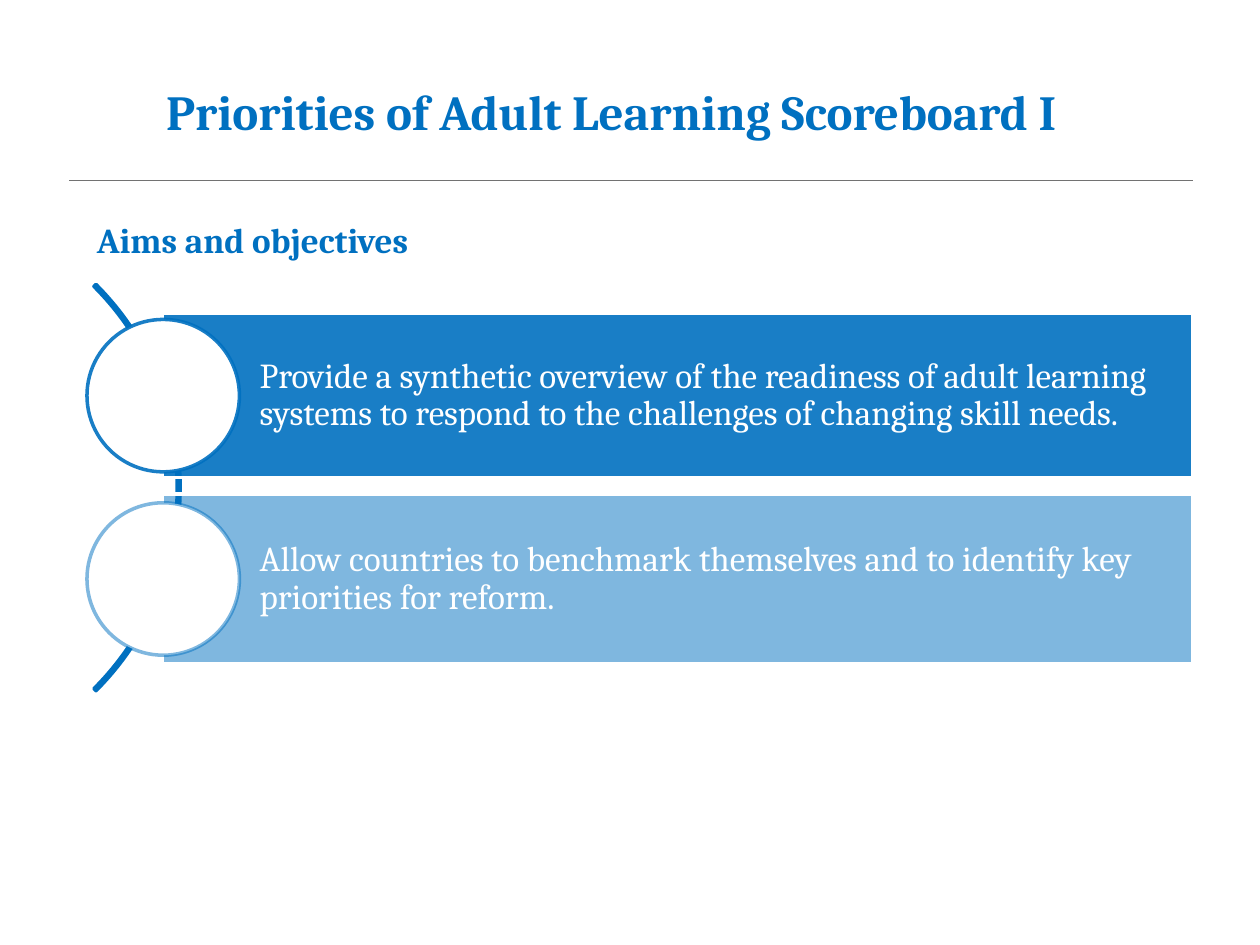
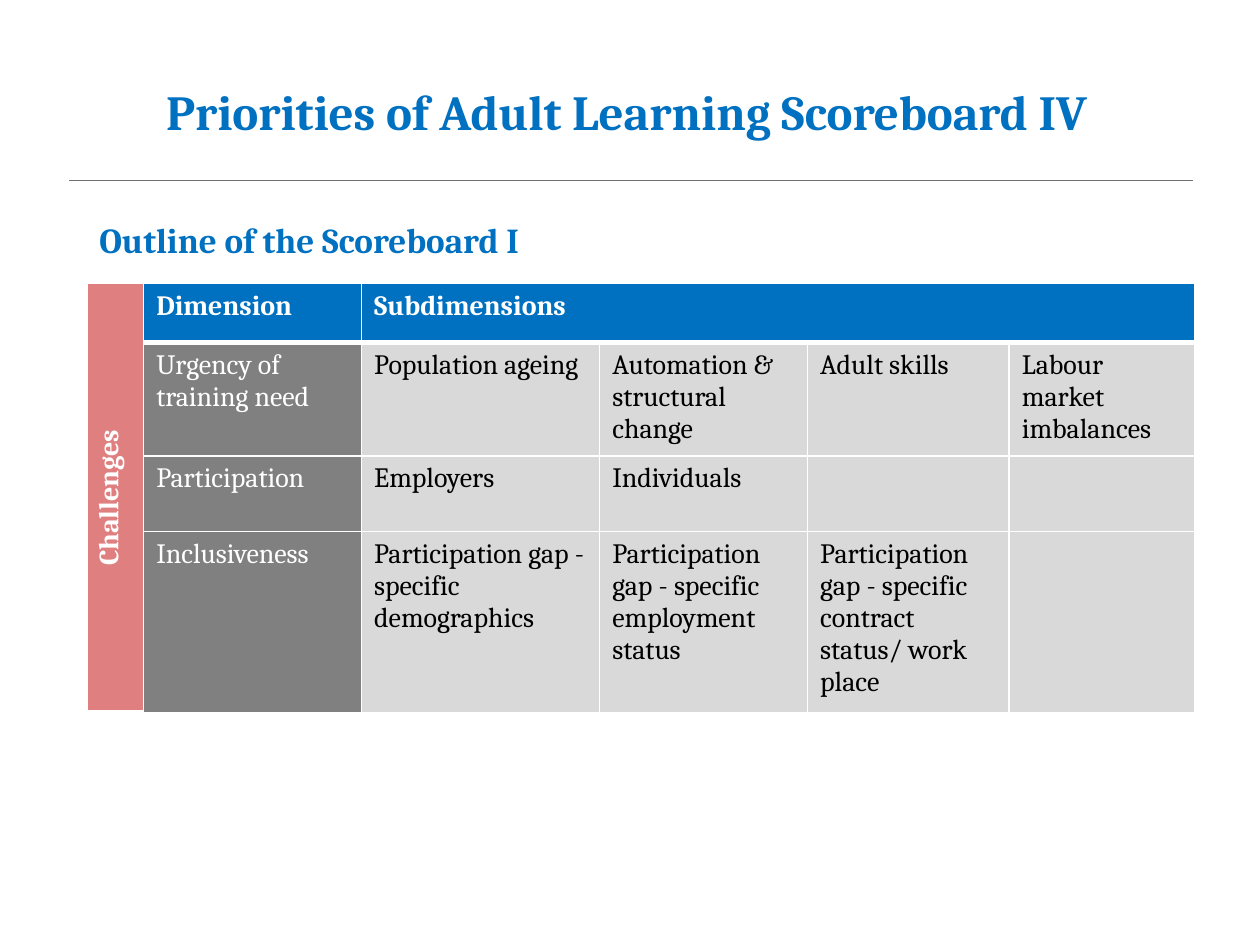
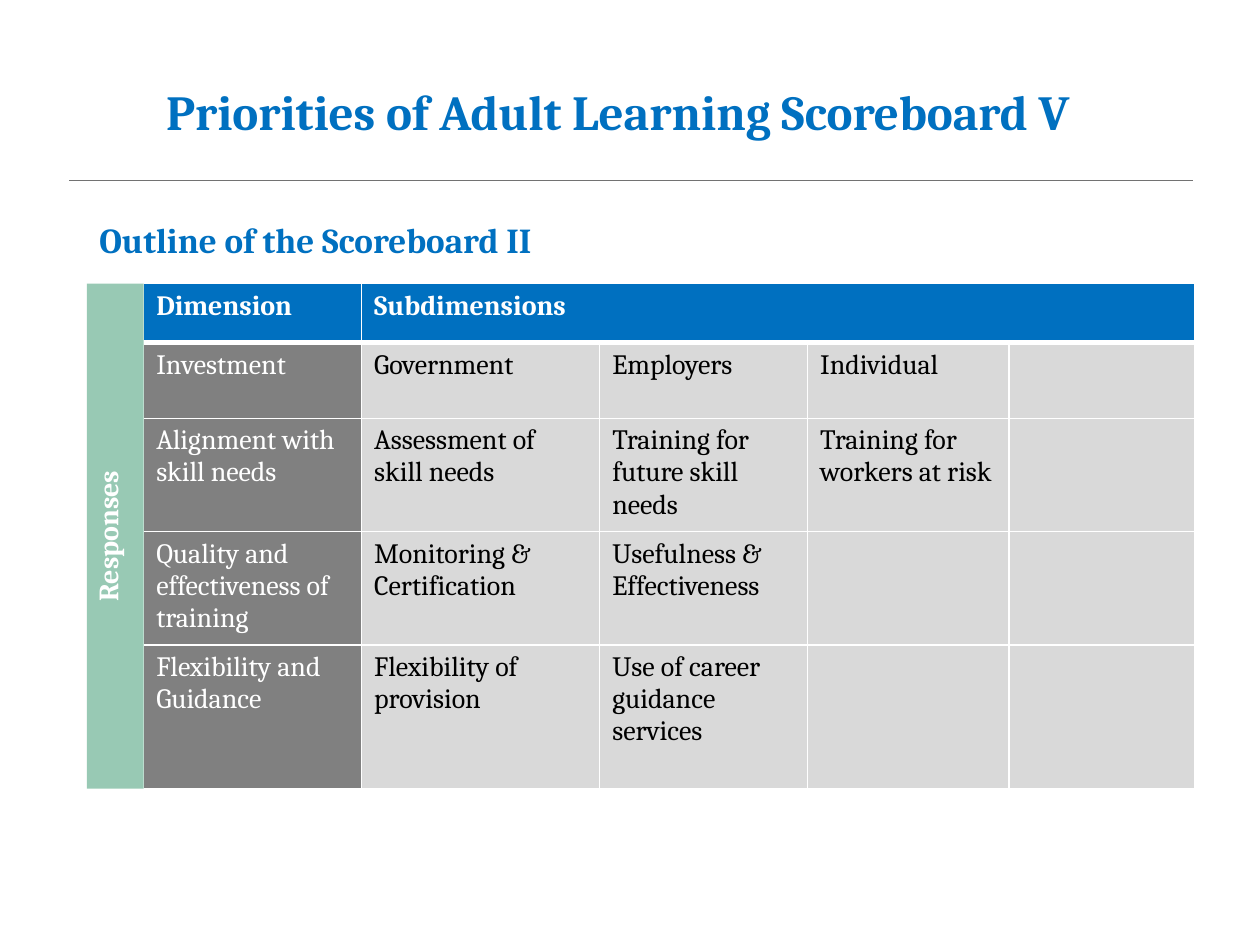
from dataclasses import dataclass

from lxml.etree import SubElement
from pptx import Presentation
from pptx.dml.color import RGBColor
from pptx.enum.shapes import MSO_CONNECTOR, MSO_SHAPE
from pptx.enum.text import MSO_ANCHOR, PP_ALIGN
from pptx.oxml.ns import qn
from pptx.util import Inches, Pt

FONT = "Cambria"
COLORS = {
    "blue": "0070C0",
    "white": "FFFFFF",
    "black": "000000",
    "rule": "727272",
    "dimension": "808080",
    "subdimension": "D9D9D9",
    "challenges": "C00000",
    "responses": "32946A",
}
COLUMN_WIDTHS = (0.45, 1.73, 1.89, 1.65, 1.6, 1.47)
TABLE_LEFT, TABLE_TOP = 0.69, 2.25
HEADER_HEIGHT = 0.47
CIRCLE_LEFT, CIRCLE_SIZE = 0.69, 1.21


@dataclass
class Aim:
    text: str
    top: float
    height: float
    opacity: int


@dataclass
class Row:
    height: float
    dimension: str
    subdimensions: tuple[str, ...]


@dataclass
class Scoreboard:
    title: str
    heading: str
    side: str
    side_color: str
    side_borders: bool
    rows: tuple[Row, ...]


AIMS = (
    Aim("Provide a synthetic overview of the readiness of adult learning systems "
        "to respond to the challenges of changing skill needs.", 2.49, 1.3, 90),
    Aim("Allow countries to benchmark themselves and to identify key priorities "
        "for reform.", 3.92, 1.35, 50),
)

SCOREBOARDS = (
    Scoreboard(
        "Priorities of Adult Learning Scoreboard IV", "Outline of the Scoreboard I",
        "Challenges", "challenges", True,
        (
            Row(0.9, "Urgency of training need",
                ("Population ageing", "Automation & structural change",
                 "Adult skills", "Labour market imbalances")),
            Row(0.6, "Participation", ("Employers", "Individuals")),
            Row(1.43, "Inclusiveness",
                ("Participation gap - specific demographics",
                 "Participation gap - specific employment status",
                 "Participation gap - specific contract status/ work place")),
        ),
    ),
    Scoreboard(
        "Priorities of Adult Learning Scoreboard V", "Outline of the Scoreboard II",
        "Responses", "responses", False,
        (
            Row(0.6, "Investment", ("Government", "Employers", "Individual")),
            Row(0.9, "Alignment with skill needs",
                ("Assessment of skill needs", "Training for future skill needs",
                 "Training for workers at risk")),
            Row(0.9, "Quality and effectiveness of training",
                ("Monitoring & Certification", "Usefulness & Effectiveness")),
            Row(1.14, "Flexibility and Guidance",
                ("Flexibility of provision", "Use of career guidance services")),
        ),
    ),
)


def rgb(name: str) -> RGBColor:
    return RGBColor.from_string(COLORS[name])


def set_opacity(element, percent: int) -> None:
    for color in element.iter(qn("a:srgbClr")):
        SubElement(color, qn("a:alpha")).set("val", str(percent * 1000))


def write(tf, text: str, size: int, color: str, bold: bool = False):
    p = tf.paragraphs[0]
    p.text = text
    p.font.name = FONT
    p.font.size = Pt(size)
    p.font.bold = bold
    p.font.color.rgb = rgb(color)
    return p


def add_text(s, text: str, left: float, top: float, width: float, height: float, size: int):
    tf = s.shapes.add_textbox(Inches(left), Inches(top), Inches(width), Inches(height)).text_frame
    tf.word_wrap = True
    return write(tf, text, size, "blue", True)


def add_base_slide(prs, title: str, heading: str, heading_left: float):
    s = prs.slides.add_slide(prs.slide_layouts[6])
    rule = s.shapes.add_connector(
        MSO_CONNECTOR.STRAIGHT, Inches(0.55), Inches(1.43), Inches(9.47), Inches(1.43))
    rule.line.color.rgb = rgb("rule")
    rule.line.width = Pt(0.5)
    SubElement(rule._element.spPr, qn("a:effectLst"))
    p = add_text(s, heading, heading_left, 1.62, 8.64, 0.5, 20)
    p.line_spacing = 1.2
    p.space_after = Pt(6)
    add_text(s, title, 1.22, 0.6, 8.78, 0.87, 28)
    return s


def add_outlined(s, kind, left: float, top: float, width: float, height: float, line: str):
    sp = s.shapes.add_shape(kind, Inches(left), Inches(top), Inches(width), Inches(height))
    sp.shadow.inherit = False
    sp.fill.background()
    sp.line.color.rgb = rgb(line)
    sp.line.width = Pt(2)
    return sp


def add_aim(s, aim: Aim) -> None:
    band = add_outlined(s, MSO_SHAPE.RECTANGLE, 1.29, aim.top, 8.18, aim.height, "white")
    band.fill.solid()
    band.fill.fore_color.rgb = rgb("blue")
    set_opacity(band._element.spPr.find(qn("a:solidFill")), aim.opacity)
    tf = band.text_frame
    tf.word_wrap = True
    tf.vertical_anchor = MSO_ANCHOR.MIDDLE
    tf.margin_left = Inches(0.77)
    tf.margin_top = tf.margin_right = tf.margin_bottom = Inches(0.06)
    p = write(tf, aim.text, 20, "white")
    p.alignment = PP_ALIGN.LEFT
    p.line_spacing = 0.9

    circle_top = aim.top + (aim.height - CIRCLE_SIZE) / 2
    circle = add_outlined(
        s, MSO_SHAPE.OVAL, CIRCLE_LEFT, circle_top, CIRCLE_SIZE, CIRCLE_SIZE, "blue")
    circle.fill.solid()
    circle.fill.fore_color.rgb = rgb("white")
    set_opacity(circle._element.spPr.find(qn("a:ln")), aim.opacity)


def add_aims_slide(prs) -> None:
    s = add_base_slide(
        prs, "Priorities of Adult Learning Scoreboard I", "Aims and objectives", 0.67)
    arc = add_outlined(s, MSO_SHAPE.BLOCK_ARC, -3.13, 1.59, 4.56, 4.56, "blue")
    for i, value in enumerate((189, 27, 0.005)):
        arc.adjustments[i] = value
    for aim in AIMS:
        add_aim(s, aim)


def set_borders(cell, left: float, right: float, top: float, bottom: float) -> None:
    tcPr = cell._tc.get_or_add_tcPr()
    widths = {"a:lnL": left, "a:lnR": right, "a:lnT": top, "a:lnB": bottom}
    for i, (tag, width) in enumerate(widths.items()):
        ln = SubElement(tcPr, qn(tag))
        ln.set("w", str(Pt(width)))
        if width:
            fill = SubElement(ln, qn("a:solidFill"))
            SubElement(fill, qn("a:srgbClr")).set("val", COLORS["white"])
        else:
            SubElement(ln, qn("a:noFill"))
        tcPr.insert(i, ln)


def style_cell(cell, row: int, col: int, board: Scoreboard) -> None:
    if col == 0:
        fill = board.side_color
    elif row == 0:
        fill = "blue"
    else:
        fill = "dimension" if col == 1 else "subdimension"
    cell.fill.solid()
    cell.fill.fore_color.rgb = rgb(fill)
    if col == 0:
        set_opacity(cell._tc.tcPr, 50)
    if col == 0 and not board.side_borders:
        set_borders(cell, 0, 0, 0, 0)
    else:
        left = 0 if col == 1 and not board.side_borders else 1
        set_borders(cell, left, 1, 3 if row == 1 else 1, 3 if row == 0 else 1)


def add_scoreboard_slide(prs, board: Scoreboard) -> None:
    s = add_base_slide(prs, board.title, board.heading, 0.69)
    heights = [HEADER_HEIGHT, *(row.height for row in board.rows)]
    table = s.shapes.add_table(
        len(heights), len(COLUMN_WIDTHS), Inches(TABLE_LEFT), Inches(TABLE_TOP),
        Inches(sum(COLUMN_WIDTHS)), Inches(sum(heights))).table
    table.first_row = table.horz_banding = False
    for column, width in zip(table.columns, COLUMN_WIDTHS):
        column.width = Inches(width)
    for table_row, height in zip(table.rows, heights):
        table_row.height = Inches(height)

    for r in range(len(heights)):
        for c in range(len(COLUMN_WIDTHS)):
            style_cell(table.cell(r, c), r, c, board)

    side = table.cell(0, 0)
    side.merge(table.cell(len(board.rows), 0))
    side._tc.tcPr.set("vert", "vert270")
    write(side.text_frame, board.side, 16, "white", True).alignment = PP_ALIGN.CENTER
    table.cell(0, 2).merge(table.cell(0, len(COLUMN_WIDTHS) - 1))
    for c, text in enumerate(("Dimension", "Subdimensions"), 1):
        write(table.cell(0, c).text_frame, text, 16, "white", True)
    for r, row in enumerate(board.rows, 1):
        for c, text in enumerate((row.dimension, *row.subdimensions), 1):
            write(table.cell(r, c).text_frame, text, 16, "white" if c == 1 else "black")


def main() -> None:
    prs = Presentation()
    prs.slide_width, prs.slide_height = Inches(10), Inches(7.5)
    add_aims_slide(prs)
    for board in SCOREBOARDS:
        add_scoreboard_slide(prs, board)
    prs.save("out.pptx")


if __name__ == "__main__":
    main()
